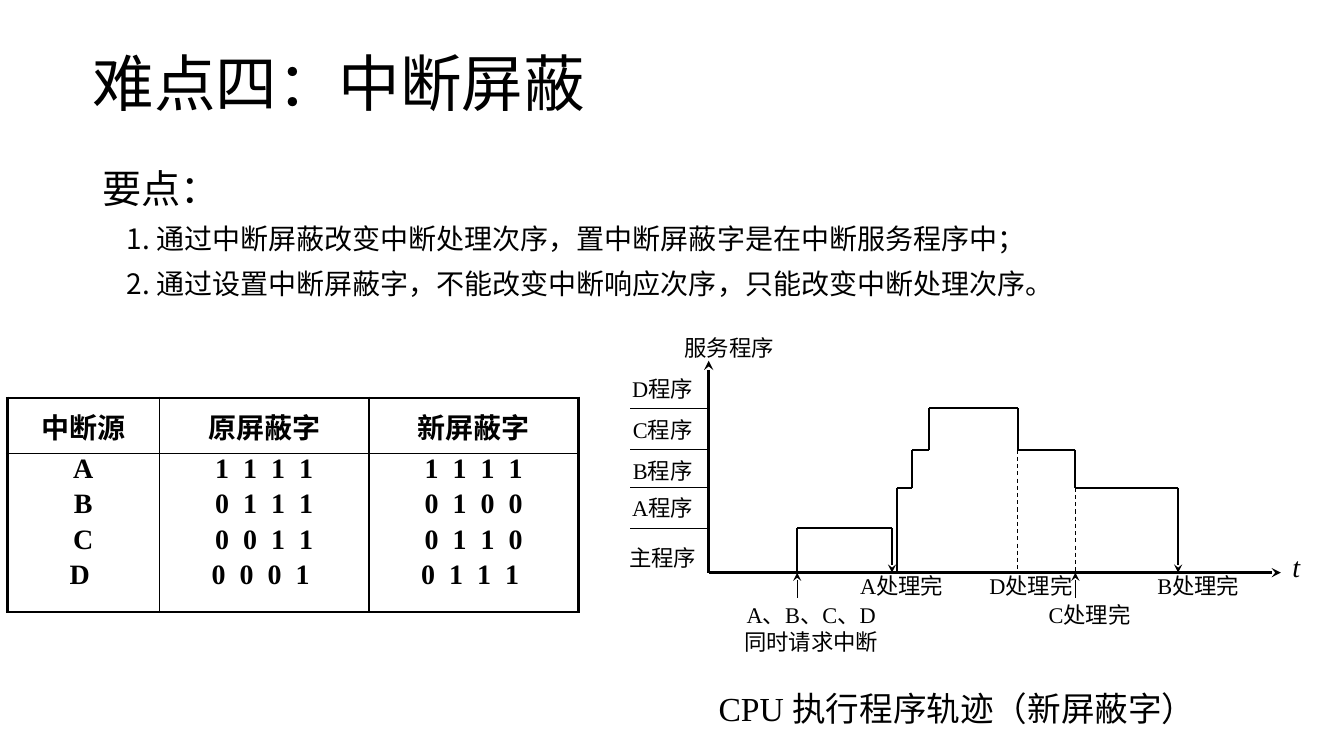
"""Build the slide on interrupt masking: key points, mask table and CPU trace."""
from dataclasses import dataclass, field
from itertools import pairwise

from lxml.etree import SubElement
from pptx import Presentation
from pptx.dml.color import RGBColor
from pptx.enum.dml import MSO_LINE_DASH_STYLE as Dash
from pptx.enum.shapes import MSO_CONNECTOR as Conn
from pptx.enum.text import MSO_ANCHOR as Anchor, PP_ALIGN as Align
from pptx.oxml.ns import qn
from pptx.util import Cm, Pt

BLACK = RGBColor(0, 0, 0)
SANS, SERIF = "Noto Sans CJK SC", "Times New Roman"
MAIN, A, B, C, D = 14.43, 13.31, 12.29, 11.33, 10.29
AXIS_X = 17.86
THICK, MEDIUM, THIN = 2.25, 1.5, 0.75


@dataclass
class Label:
    """A text box with its place in centimetres."""
    lines: list[str]
    x: float
    y: float
    w: float
    h: float
    size: float = 16
    font: str = SERIF
    align: Align = Align.CENTER
    inset: tuple[float, float] = (0, 0)
    anchor: Anchor = Anchor.TOP
    fmt: dict = field(default_factory=dict)
    extra: dict = field(default_factory=dict)


@dataclass
class Trace:
    """A chain of straight lines through points in centimetres."""
    points: list[tuple[float, float]]
    width: float = THIN
    arrow: bool = False
    dashed: bool = False


def add_run(p, text: str, size: float, font: str, **extra) -> None:
    """Append a formatted run to a paragraph."""
    r = p.add_run()
    r.text = text
    for name, value in {"size": Pt(size), "name": font, **extra}.items():
        setattr(r.font, name, value)
    r.font.color.rgb = BLACK
    SubElement(r.font._element, qn("a:ea"), typeface=SANS)


def add_label(s, label: Label):
    """Draw a label and return its text frame."""
    box = s.shapes.add_textbox(*map(Cm, (label.x, label.y, label.w, label.h)))
    tf = box.text_frame
    side, end = map(Cm, label.inset)
    frame = {"word_wrap": True, "vertical_anchor": label.anchor, "margin_left": side,
             "margin_right": side, "margin_top": end, "margin_bottom": end}
    for name, value in frame.items():
        setattr(tf, name, value)
    for i, line in enumerate(label.lines):
        p = tf.add_paragraph() if i else tf.paragraphs[0]
        for name, value in {"alignment": label.align, **label.fmt}.items():
            setattr(p, name, value)
        add_run(p, line, label.size, label.font, **label.extra)
    return tf


def add_trace(s, trace: Trace) -> None:
    """Draw a trace, with the arrowhead on its last segment."""
    segments = list(pairwise(trace.points))
    for i, (start, end) in enumerate(segments, 1):
        c = s.shapes.add_connector(Conn.STRAIGHT, *map(Cm, (*start, *end)))
        c.line.width = Pt(trace.width)
        c.line.color.rgb = BLACK
        if trace.dashed:
            c.line.dash_style = Dash.DASH
        if trace.arrow and i == len(segments):
            SubElement(c.line._get_or_add_ln(), qn("a:tailEnd"), type="stealth")
        SubElement(c._element.spPr, qn("a:effectLst"))


def set_borders(cell, widths: dict[str, float]) -> None:
    """Give a cell black borders of the given widths in points."""
    tc_pr = cell._tc.get_or_add_tcPr()
    for i, (side, width) in enumerate(widths.items()):
        ln = tc_pr.makeelement(qn(f"a:{side}"), {"w": str(Pt(width))})
        fill = SubElement(ln, qn("a:solidFill"))
        SubElement(fill, qn("a:srgbClr"), val=str(BLACK))
        tc_pr.insert(i, ln)


def add_mask_table(s) -> None:
    """Draw the table of old and new mask words."""
    columns = [
        ("中断源", ["A", "B", "C", "D"]),
        ("原屏蔽字", ["1 1 1 1", "0 1 1 1", "0 0 1 1", "0 0 0 1"]),
        ("新屏蔽字", ["1 1 1 1", "0 1 0 0", "0 1 1 0", "0 1 1 1"]),
    ]
    widths, heights = (3.84, 5.28, 5.28), (1.4, 3.99)
    table = s.shapes.add_table(2, 3, Cm(0.18), Cm(10.03), Cm(14.4), Cm(5.39)).table
    table.first_row = table.horz_banding = False
    for row, height in zip(table.rows, heights):
        row.height = Cm(height)
    for x, (head, words) in enumerate(columns):
        table.columns[x].width = Cm(widths[x])
        for y, lines in enumerate(([head], words)):
            cell = table.cell(y, x)
            cell.fill.background()
            cell.vertical_anchor = Anchor.TOP if y else Anchor.MIDDLE
            for side in ("left", "top", "right", "bottom"):
                setattr(cell, f"margin_{side}", 0)
            for i, line in enumerate(lines):
                p = cell.text_frame.add_paragraph() if i else cell.text_frame.paragraphs[0]
                p.alignment = Align.CENTER
                p.space_before = Pt(3 if i else 0)
                add_run(p, line, 20, SERIF, bold=True)
                if " " in line:
                    p.runs[0].font._element.set("spc", "250")
                if i == 3:
                    p._p.get_or_add_pPr().set("marR", str(Cm(0.18)))
            set_borders(cell, {"lnL": 1 if x else THICK, "lnR": THICK if x == 2 else 1,
                               "lnT": 1 if y else THICK, "lnB": THICK if y else 1})


def add_cpu_trace(s) -> None:
    """Draw the time diagram of the running programs."""
    level_tops = {"主程序": 13.72, "A程序": 12.45, "B程序": 11.51, "C程序": 10.49, "D程序": 9.45}
    labels = [Label([name], 15.67, top, 2.06, 0.91) for name, top in level_tops.items()]
    labels += [
        Label(["服务程序"], 16.89, 8.41, 2.97, 0.99),
        Label(["A处理完"], 21.39, MAIN, 2.67, 0.97),
        Label(["D处理完"], 24.71, MAIN, 2.54, 0.97),
        Label(["C处理完"], 26.24, 15.16, 2.44, 0.84),
        Label(["B处理完"], 28.75, MAIN, 2.9, 0.97),
        Label(["t"], 32.08, 13.84, 1.17, 0.91, size=20, extra={"italic": True}),
        Label(["A、B、C、D", "同时请求中断"], 18.44, 15.16, 4.01, 1.42),
        Label(["CPU 执行程序轨迹（新屏蔽字）"], AXIS_X, 17.2, 14.4, 1.27, size=24,
              align=Align.LEFT, inset=(0.25, 0.13)),
    ]
    request, a_done, restart, c_start, d_start = 20.09, 22.48, 22.6, 22.99, 23.42
    d_done, c_done, b_done = 25.65, 27.1, 29.69
    traces = [Trace([(15.88, y), (AXIS_X, y)]) for y in (A, B, C, D)]
    traces += [Trace([(x, 15.06), (x, MAIN)], arrow=True) for x in (request, c_done)]
    traces += [Trace([(x, y), (x, MAIN)], dashed=True) for x, y in ((d_done, C), (c_done, B))]
    traces += [
        Trace([(AXIS_X, MAIN), (32.28, MAIN)], THICK, arrow=True),
        Trace([(AXIS_X, MAIN), (AXIS_X, 9.09)], THICK, arrow=True),
        Trace([(request, MAIN), (request, A), (a_done, A), (a_done, MAIN)], MEDIUM, arrow=True),
        Trace([(restart, MAIN), (restart, B), (c_start, B), (c_start, C), (d_start, C),
               (d_start, D), (d_done, D), (d_done, C), (c_done, C), (c_done, B),
               (b_done, B), (b_done, MAIN)], MEDIUM, arrow=True),
    ]
    for trace in traces:
        add_trace(s, trace)
    for label in labels:
        add_label(s, label)


def main() -> None:
    """Create the presentation and save it."""
    prs = Presentation()
    prs.slide_width, prs.slide_height = Cm(33.87), Cm(19.05)
    s = prs.slides.add_slide(prs.slide_layouts[6])
    sans = {"font": SANS, "align": Align.LEFT, "inset": (0.25, 0.13)}
    add_label(s, Label(["难点四：中断屏蔽"], 2.08, 1.02, 29.21, 2.34, size=44,
                       anchor=Anchor.MIDDLE, fmt={"line_spacing": 0.9}, **sans))
    points = ["要点：",
              "1. 通过中断屏蔽改变中断处理次序，置中断屏蔽字是在中断服务程序中；",
              "2. 通过设置中断屏蔽字，不能改变中断响应次序，只能改变中断处理次序。"]
    tf = add_label(s, Label(points, 2.34, 4.14, 29.21, 14.05, size=20,
                            fmt={"line_spacing": 0.9, "space_before": Pt(10)}, **sans))
    tf.paragraphs[0].runs[0].font.size = Pt(28)
    for p in tf.paragraphs[1:]:
        p._p.get_or_add_pPr().set("marL", str(Cm(0.6)))
    add_mask_table(s)
    add_cpu_trace(s)
    prs.save("out.pptx")


if __name__ == "__main__":
    main()
